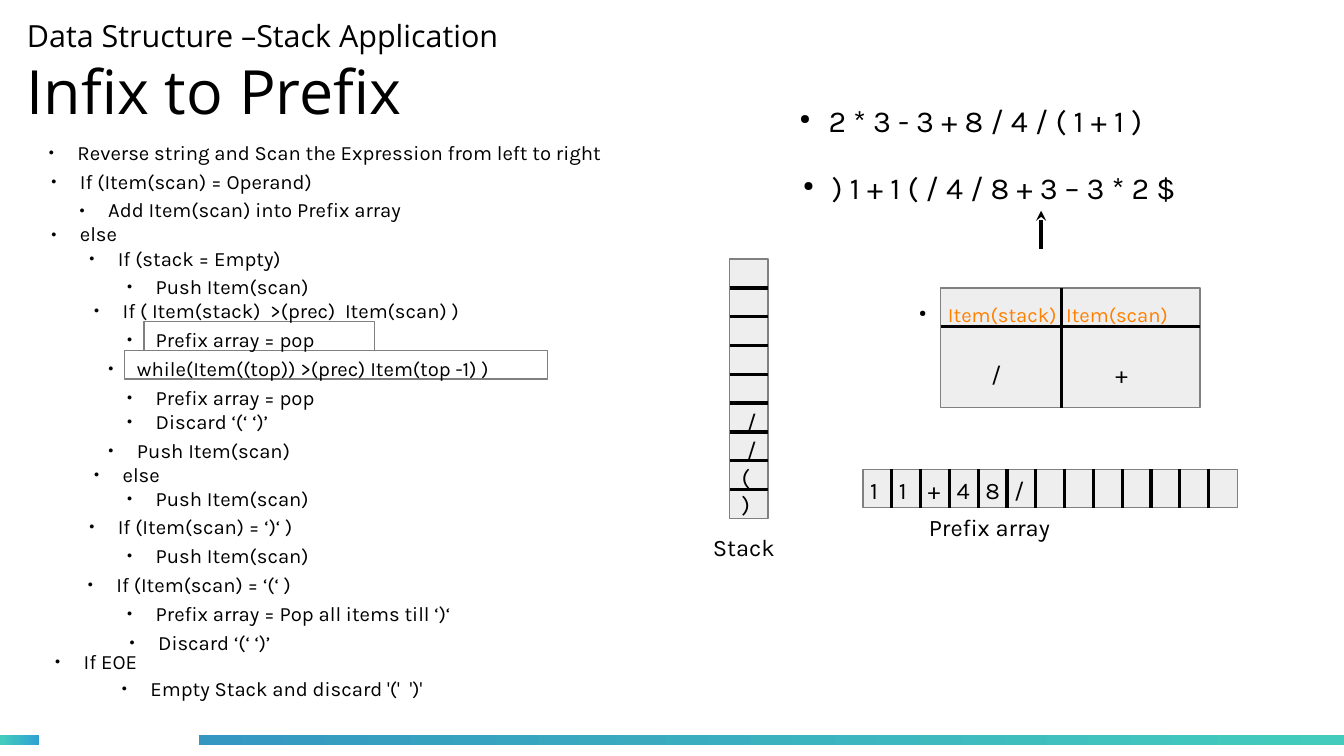
import pptx
import pptx.util
import pptx.dml.color
import pptx.enum.shapes
import pptx.enum.text
import pptx.oxml.ns
import lxml.etree

Pt = pptx.util.Pt
Fit = pptx.enum.text.MSO_AUTO_SIZE
qn = pptx.oxml.ns.qn
theme = dict(
    ink="000000", paper="FFFFFF", cell="EEEEEE", edge="808080", warm="FF8000",
    teal="43CCBD", sky="30A2D2", blue="3497C1",
    text="Karla", head="Open Sans",
    small=12, label=14, large=18, huge=36,
)

deck = pptx.Presentation()
deck.slide_width = pptx.util.Inches(11.02)
deck.slide_height = pptx.util.Inches(6.2)
unit = deck.slide_width / 28
slide = deck.slides.add_slide(deck.slide_layouts[1])
shapes = slide.shapes


def grid(*cells):
    return [round(cell * unit) for cell in cells]


def style(par, size, color="ink", left=None):
    if left is not None:
        props = par._p.get_or_add_pPr()
        step = round(0.6 * unit)
        props.set("marL", str(round(left * unit) + step))
        props.set("indent", str(-step))
        tint = lxml.etree.SubElement(props, qn("a:buClr"))
        lxml.etree.SubElement(tint, qn("a:srgbClr"), val=theme["ink"])
        lxml.etree.SubElement(props, qn("a:buSzPct"), val="45000")
        lxml.etree.SubElement(props, qn("a:buChar"), char="●")
    par.font.name = theme["text"]
    par.font.size = Pt(theme[size])
    par.font.color.rgb = pptx.dml.color.RGBColor.from_string(theme[color])


boxes = [
    (0, 15.32, 0.82, 0.2, ("teal", "sky")),
    (4.14, 15.32, 23.86, 0.2, ("blue", "teal")),
    (2.6, 7.3, 8.8, 0.6, ("paper",)),
    (3, 6.7, 4.8, 0.6, ("paper",)),
    (15.2, 5.4, 0.8, 5.4, ("cell",)),
    (17.98, 9.78, 7.8, 0.8, ("cell",)),
    (19.6, 6, 5.4, 2.5, ("cell",)),
]
for depth, (x, y, w, h, tones) in enumerate(boxes):
    box = shapes.add_shape(pptx.enum.shapes.MSO_SHAPE.RECTANGLE, *grid(x, y, w, h))
    box.shadow.inherit = False
    colors = [pptx.dml.color.RGBColor.from_string(theme[tone]) for tone in tones]
    if len(colors) == 2:
        box.fill.gradient()
        box.fill.gradient_angle = 0
        for stop, color in zip(box.fill.gradient_stops, colors):
            stop.color.rgb = color
        box.line.fill.background()
    else:
        box.fill.solid()
        box.fill.fore_color.rgb = colors[0]
        box.line.color.rgb = pptx.dml.color.RGBColor.from_string(theme["edge"])
        box.line.width = Pt(0)
    shapes._spTree.insert(2 + depth, box._element)

title = shapes.title
title.left, title.top, title.width, title.height = grid(0.56, 0.2, 25.46, 2.6)
frame = title.text_frame
frame.margin_left = frame.margin_right = frame.margin_top = frame.margin_bottom = 0
frame.auto_size = Fit.NONE
frame.vertical_anchor = pptx.enum.text.MSO_ANCHOR.MIDDLE
head = frame.paragraphs[0]
head.alignment = pptx.enum.text.PP_ALIGN.LEFT
for words, size in [("Data Structure –Stack Application", "large"), ("Infix to Prefix", "huge")]:
    if head.runs:
        head.add_line_break()
    run = head.add_run()
    run.text = words
    run.font.name = theme["head"]
    run.font.size = Pt(theme[size])
    run.font.color.rgb = pptx.dml.color.RGBColor.from_string(theme["ink"])

steps = [
    (0, 0.5, "Reverse string and Scan the Expression from left to right"),
    (0.05, 0.6, "If (Item(scan) = Operand)"),
    (0.64, 0.6, "Add Item(scan) into Prefix array"),
    (0.05, 0.5, "else"),
    (0.84, 0.5, "If (stack = Empty)"),
    (1.63, 0.6, "Push Item(scan)"),
    (0.94, 0.5, "If ( Item(stack)  >(prec)  Item(scan) )"),
    (1.63, 0.6, "Prefix array = pop"),
    (1.24, 0.6, "while(Item((top)) >(prec) Item(top -1) )"),
    (1.63, 0.6, "Prefix array = pop"),
    (1.63, 0.5, "Discard ‘(‘ ‘)’"),
    (1.24, 0.6, "Push Item(scan)"),
    (0.94, 0.5, "else"),
    (1.63, 0.5, "Push Item(scan)"),
    (0.84, 0.6, "If (Item(scan) = ‘)‘ )"),
    (1.63, 0.6, "Push Item(scan)"),
    (0.81, 0.6, "If (Item(scan) = ‘(‘ )"),
    (1.63, 0.6, "Prefix array = Pop all items till ‘)‘"),
    (1.68, 0.6, "Discard ‘(‘ ‘)’"),
    (0.13, 0.4, "If EOE"),
    (1.52, 0.56, "Empty Stack and discard '('  ')'"),
]
body = slide.placeholders[1]
body.left, body.top, body.width, body.height = grid(0.76, 2.8, 15, 12.1)
frame = body.text_frame
frame.auto_size = Fit.NONE
frame.vertical_anchor = pptx.enum.text.MSO_ANCHOR.TOP
for row, (left, pitch, words) in enumerate(steps):
    par = frame.add_paragraph() if row else frame.paragraphs[0]
    par.text = words
    par.space_before = Pt(0)
    par.line_spacing = pptx.util.Emu(round(pitch * unit))
    style(par, "small", left=left)

rules = [(15.2, 5.4 + 0.6 * row, 16, 5.4 + 0.6 * row) for row in range(1, 9)]
rules += [(17.98 + 0.6 * col, 10.58, 17.98 + 0.6 * col, 9.78) for col in range(1, 13)]
rules += [(19.6, 6.8, 25, 6.8), (22.12, 6, 22.12, 8.5), (21.69, 5.18, 21.69, 4.39)]
for ends in rules:
    rule = shapes.add_connector(pptx.enum.shapes.MSO_CONNECTOR.STRAIGHT, *grid(*ends))
    rule.line.color.rgb = pptx.dml.color.RGBColor.from_string(theme["ink"])
    rule.line.width = Pt(0)
    lxml.etree.SubElement(rule._element.spPr, qn("a:effectLst"))
lxml.etree.SubElement(rule.line._get_or_add_ln(), qn("a:tailEnd"), type="stealth")

notes = [
    (16.41, 2, 10, "2 * 3 - 3 + 8 / 4 / ( 1 + 1 )", "large", "ink", 0),
    (16.48, 3.4, 10.3, ") 1 + 1 ( / 4 / 8 + 3 – 3 * 2 $", "large", "ink", 0),
    (18.9, 6.17, 6.6, "Item(stack)  Item(scan)", "small", "warm", 0),
    (14.6, 10.97, 2.2, "Stack", "label", "ink", None),
    (19.1, 10.57, 3.6, "Prefix array", "label", "ink", None),
    (20.4, 7.38, 0.9, "/", "label", "ink", None),
    (22.99, 7.38, 0.9, "+", "label", "ink", None),
]
notes += [(17.88 + 0.6 * col, 9.78, 0.9, sign, "label", "ink", None)
          for col, sign in enumerate("11+48/")]
notes += [(15.3 if sign == "/" else 15.2, 8.38 + 0.57 * row, 0.9, sign, "label", "ink", None)
          for row, sign in enumerate("//()")]
for x, y, w, words, size, color, left in notes:
    note = shapes.add_textbox(*grid(x, y, w, 0.92))
    note.text_frame.word_wrap = True
    par = note.text_frame.paragraphs[0]
    par.text = words
    style(par, size, color, left)

deck.save("out.pptx")
